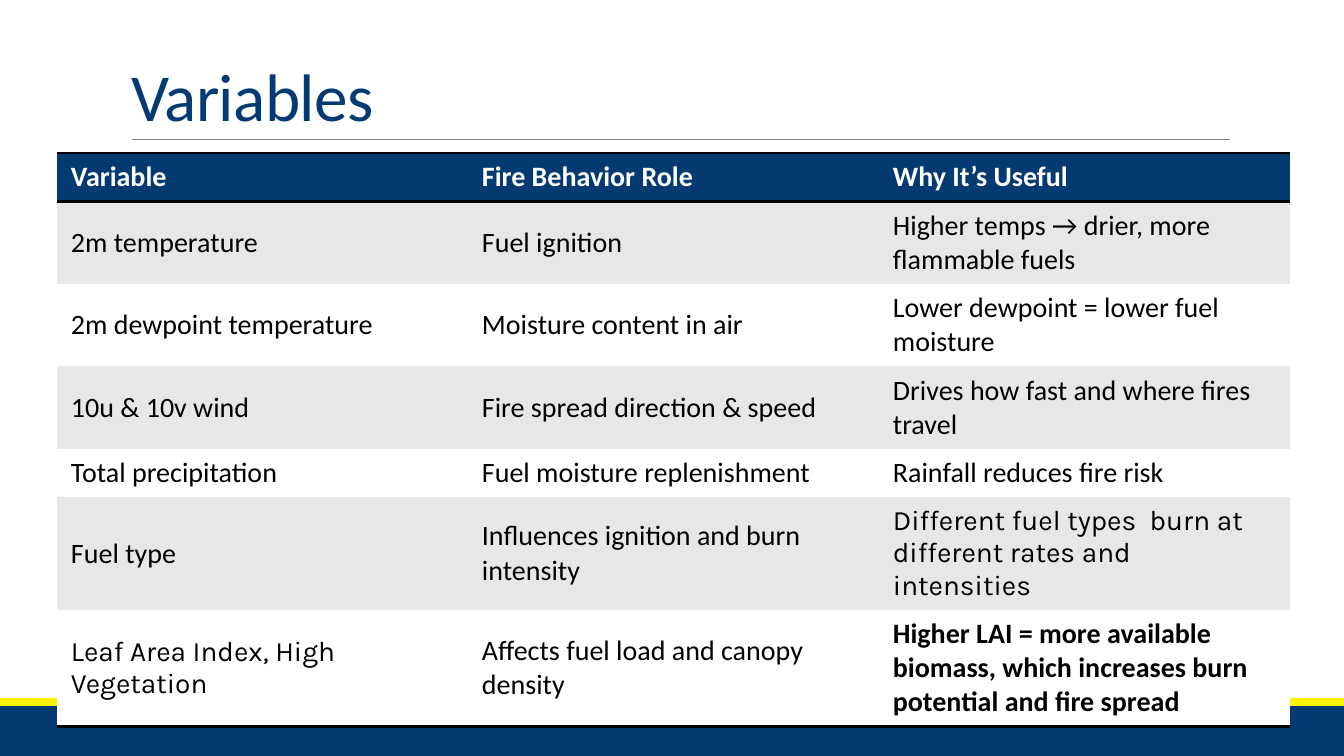
from dataclasses import dataclass

from lxml import etree
from pptx import Presentation
from pptx import util as u
from pptx.dml.color import RGBColor
from pptx.enum import shapes, text
from pptx.oxml import parse_xml
from pptx.oxml.ns import nsdecls, qn


@dataclass(frozen=True)
class Theme:
    navy: str = "033A71"
    yellow: str = "FAF402"
    rule: str = "808080"
    band: str = "E7E7E7"
    white: str = "FFFFFF"
    black: str = "000000"
    font: str = "Calibri"
    alt_font: str = "Karla"
    title_size: int = 48
    cell_size: int = 20


T = Theme()
NO_STYLE = "{2D5ABB26-0587-4C30-8999-92F81FD0307C}"

ROWS = [
    ("Variable", "Fire Behavior Role", "Why It’s Useful"),
    ("2m temperature", "Fuel ignition", "Higher temps → drier, more flammable fuels"),
    ("2m dewpoint temperature", "Moisture content in air", "Lower dewpoint = lower fuel moisture"),
    ("10u & 10v wind", "Fire spread direction & speed", "Drives how fast and where fires travel"),
    ("Total precipitation", "Fuel moisture replenishment", "Rainfall reduces fire risk"),
    ("Fuel type", "Influences ignition and burn intensity",
     "Different fuel types  burn at different rates and intensities"),
    ("Leaf Area Index, High Vegetation", "Affects fuel load and canopy density",
     "Higher LAI = more available biomass, which increases burn potential and fire spread"),
]
ROW_HEIGHTS = [48, 82, 82, 82, 48, 82, 116]
ALT_FONT_CELLS = {(5, 2), (6, 0)}
BOLD_CELLS = {(6, 2)}


def px(n):
    return u.Emu(round(n * 914400 / 100.8))


def rgb(color):
    return RGBColor.from_string(color)


def style_font(p, size, color, name=T.font, bold=False):
    f = p.font
    f.name, f.size, f.bold = name, u.Pt(size), bold
    f.color.rgb = rgb(color)


def add_bar(s, top, height, color):
    sp = s.shapes.add_shape(shapes.MSO_SHAPE.RECTANGLE, 0, px(top), px(1344), px(height))
    sp.shadow.inherit = False
    sp.fill.solid()
    sp.fill.fore_color.rgb = rgb(color)
    sp.line.fill.background()


def add_rule(s, x1, x2, y):
    ln = s.shapes.add_connector(shapes.MSO_CONNECTOR.STRAIGHT, px(x1), px(y), px(x2), px(y))
    ln.line.color.rgb = rgb(T.rule)
    ln.line.width = u.Pt(0.5)
    etree.SubElement(ln._element.spPr, qn("a:effectLst"))


def set_title(s, words):
    sp = s.shapes.title
    sp.left, sp.top, sp.width, sp.height = px(121), px(31), px(1109), px(109)
    tf = sp.text_frame
    tf.text = words
    tf.auto_size = text.MSO_AUTO_SIZE.NONE
    tf.vertical_anchor = text.MSO_ANCHOR.BOTTOM
    p = tf.paragraphs[0]
    p.alignment = text.PP_ALIGN.LEFT
    p.line_spacing = 0.85
    style_font(p, T.title_size, T.navy)
    p.runs[0]._r.get_or_add_rPr().set("spc", "-50")


def add_border(cell, side):
    cell._tc.get_or_add_tcPr().insert(0, parse_xml(
        f'<a:{side} {nsdecls("a")} w="{u.Pt(2)}"><a:solidFill>'
        f'<a:srgbClr val="{T.black}"/></a:solidFill></a:{side}>'))


def fill_cell(cell, words, row, col):
    header = row == 0
    cell.text = words
    cell.vertical_anchor = text.MSO_ANCHOR.MIDDLE
    cell.margin_left = cell.margin_right = px(14)
    cell.margin_top = cell.margin_bottom = px(7)
    style_font(cell.text_frame.paragraphs[0], T.cell_size,
               T.white if header else T.black,
               T.alt_font if (row, col) in ALT_FONT_CELLS else T.font,
               header or (row, col) in BOLD_CELLS)
    cell.fill.solid()
    cell.fill.fore_color.rgb = rgb(T.navy if header else T.band if row % 2 else T.white)
    # Borders precede the fill, bottom inserted first so that top ends up ahead
    if row in (0, len(ROWS) - 1):
        add_border(cell, "lnB")
    if header:
        add_border(cell, "lnT")


def add_variables_table(s):
    frame = s.shapes.add_table(len(ROWS), 3, px(57), px(153), px(1233), px(sum(ROW_HEIGHTS)))
    tbl = frame.table
    tbl.horz_banding = False
    tbl._tbl.tblPr.find(qn("a:tableStyleId")).text = NO_STYLE
    for col in tbl.columns:
        col.width = px(411)
    for r, (values, height) in enumerate(zip(ROWS, ROW_HEIGHTS)):
        tbl.rows[r].height = px(height)
        for c, words in enumerate(values):
            fill_cell(tbl.cell(r, c), words, r, c)


def main():
    prs = Presentation()
    prs.slide_width, prs.slide_height = px(1344), px(756)
    s = prs.slides.add_slide(prs.slide_layouts[5])

    # Footer bands
    add_bar(s, 706, 50, T.navy)
    add_bar(s, 698, 8, T.yellow)

    # Title and its rule
    add_rule(s, 132, 1230, 139)
    set_title(s, "Variables")

    # Variables and their roles
    add_variables_table(s)
    prs.save("out.pptx")


if __name__ == "__main__":
    main()
